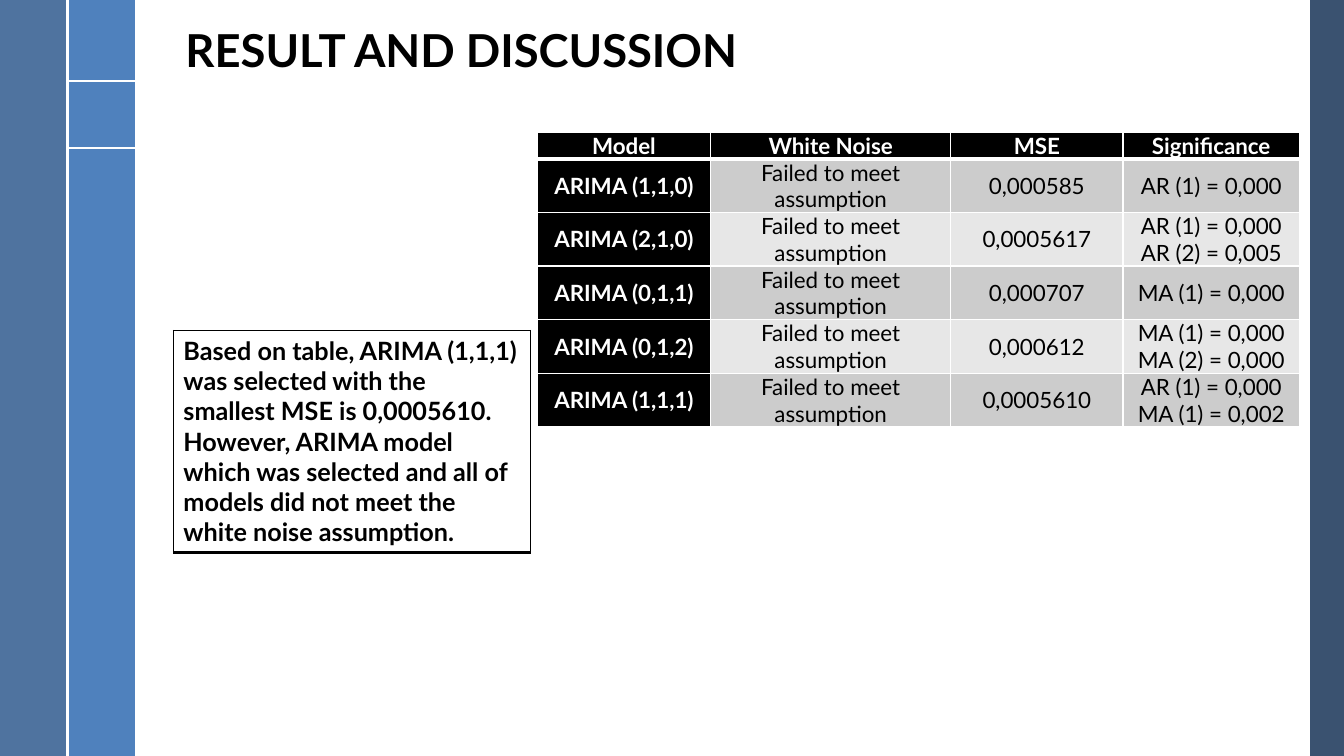
from dataclasses import dataclass

from lxml import etree
from pptx import Presentation
from pptx.dml.color import RGBColor
from pptx.enum.shapes import MSO_CONNECTOR, MSO_SHAPE
from pptx.enum.text import MSO_ANCHOR, PP_ALIGN
from pptx.oxml.ns import qn
from pptx.util import Cm, Pt

RECTANGLE = MSO_SHAPE.RECTANGLE
STRAIGHT = MSO_CONNECTOR.STRAIGHT
MIDDLE, TOP = MSO_ANCHOR.MIDDLE, MSO_ANCHOR.TOP
CENTER, LEFT = PP_ALIGN.CENTER, PP_ALIGN.LEFT

SLIDE_WIDTH, SLIDE_HEIGHT = 33.87, 19.05
BAND = 1.7  # width of each left band


@dataclass(frozen=True)
class Theme:
    font: str = "Lato"
    white: str = "FFFFFF"
    black: str = "000000"
    outer_band: str = "376092"
    inner_band: str = "4F81BD"
    right_band: str = "254061"
    odd_row: str = "CCCCCC"
    even_row: str = "E7E7E7"
    title_size: float = 32.4
    note_size: int = 18
    table_size: int = 16


THEME = Theme()

HEADINGS = ["Model", "White Noise", "MSE", "Significance"]
FAILED = "Failed to meet assumption"
MODELS = [
    ("ARIMA (1,1,0)", "0,000585", ["AR (1) = 0,000"]),
    ("ARIMA (2,1,0)", "0,0005617", ["AR (1) = 0,000", "AR (2) = 0,005"]),
    ("ARIMA (0,1,1)", "0,000707", ["MA (1) = 0,000"]),
    ("ARIMA (0,1,2)", "0,000612", ["MA (1) = 0,000", "MA (2) = 0,000"]),
    ("ARIMA (1,1,1)", "0,0005610", ["AR (1) = 0,000", "MA (1) = 0,002"]),
]
CONCLUSION = (
    "Based on table, ARIMA (1,1,1) was selected with the smallest MSE is "
    "0,0005610. However, ARIMA model which was selected and all of models "
    "did not meet the white noise assumption."
)


def add_run(paragraph, text, size, color, bold):
    run = paragraph.add_run()
    run.text = text
    run.font.name = THEME.font
    run.font.size = Pt(size)
    run.font.bold = bold
    run.font.color.rgb = RGBColor.from_string(color)


def add_band(slide, left, width, color, opacity=100):
    band = slide.shapes.add_shape(RECTANGLE, Cm(left), 0, Cm(width), Cm(SLIDE_HEIGHT))
    band.shadow.inherit = False
    band.line.fill.background()
    band.fill.solid()
    band.fill.fore_color.rgb = RGBColor.from_string(color)
    if opacity < 100:
        tint = band.fill._xPr.find(".//" + qn("a:srgbClr"))
        etree.SubElement(tint, qn("a:alpha"), val=str(opacity * 1000))


def add_rule(slide, x1, y1, x2, y2):
    rule = slide.shapes.add_connector(STRAIGHT, Cm(x1), Cm(y1), Cm(x2), Cm(y2))
    rule.line.color.rgb = RGBColor.from_string(THEME.white)
    rule.line.width = Pt(1.5)
    etree.SubElement(rule._element.spPr, qn("a:effectLst"))


def set_borders(cell, color, bottom=1):
    """Draw all four edges, 1 pt except for the bottom one."""
    properties = cell._tc.get_or_add_tcPr()
    for index, (edge, width) in enumerate(
        [("a:lnL", 1), ("a:lnR", 1), ("a:lnT", 1), ("a:lnB", bottom)]
    ):
        line = etree.Element(qn(edge), w=str(Pt(width)))
        fill = etree.SubElement(line, qn("a:solidFill"))
        etree.SubElement(fill, qn("a:srgbClr"), val=color)
        properties.insert(index, line)


def add_table(slide, left, top, columns, rows):
    table = slide.shapes.add_table(
        len(rows), len(columns), Cm(left), Cm(top), Cm(sum(columns)), Cm(sum(rows))
    ).table
    table.first_row = table.horz_banding = False
    for column, width in zip(table.columns, columns):
        column.width = Cm(width)
    for row, height in zip(table.rows, rows):
        row.height = Cm(height)
    return table


def fill_cell(cell, lines, size, color, bold, align):
    for index, line in enumerate(lines):
        frame = cell.text_frame
        paragraph = frame.add_paragraph() if index else frame.paragraphs[0]
        paragraph.alignment = align
        add_run(paragraph, line, size, color, bold)


def add_bands(slide):
    add_band(slide, 33.02, SLIDE_WIDTH - 33.02, THEME.right_band, 90)
    add_band(slide, BAND, BAND, THEME.inner_band)
    add_band(slide, 0, BAND, THEME.outer_band, 88)
    for y in (2.05, 3.74):
        add_rule(slide, BAND, y, 2 * BAND, y)
    add_rule(slide, BAND, 0, BAND, SLIDE_HEIGHT)


def add_title(slide, text):
    title = slide.shapes.title
    title.left, title.top = Cm(4.42), Cm(0.3)
    title.width, title.height = Cm(28.5), Cm(2.05)
    title.text_frame.vertical_anchor = MIDDLE
    paragraph = title.text_frame.paragraphs[0]
    paragraph.alignment = LEFT
    paragraph.line_spacing = 0.9
    add_run(paragraph, text, THEME.title_size, THEME.black, True)


def add_model_table(slide):
    table = add_table(
        slide, 13.54, 3.33, [4.37, 6.05, 4.34, 4.45], [0.66] + [1.35] * len(MODELS)
    )
    content = [[[heading] for heading in HEADINGS]]
    content += [[[model], [FAILED], [mse], tests] for model, mse, tests in MODELS]
    for r, row in enumerate(content):
        for c, lines in enumerate(row):
            cell = table.cell(r, c)
            heading = r == 0 or c == 0
            shade = THEME.odd_row if r % 2 else THEME.even_row
            cell.fill.solid()
            cell.fill.fore_color.rgb = RGBColor.from_string(
                THEME.black if heading else shade
            )
            set_borders(cell, THEME.white, bottom=1 if r else 3)
            cell.vertical_anchor = MIDDLE
            cell.margin_left = cell.margin_right = Cm(0.18)
            cell.margin_top = cell.margin_bottom = 0
            color = THEME.white if heading else THEME.black
            fill_cell(cell, lines, THEME.table_size, color, heading, CENTER)


def add_conclusion(slide):
    cell = add_table(slide, 4.37, 8.33, [9], [5.41]).cell(0, 0)
    cell.fill.background()
    set_borders(cell, THEME.black, bottom=2)
    cell.vertical_anchor = TOP
    fill_cell(cell, [CONCLUSION], THEME.note_size, THEME.black, True, LEFT)


def main():
    deck = Presentation()
    deck.slide_width, deck.slide_height = Cm(SLIDE_WIDTH), Cm(SLIDE_HEIGHT)
    slide = deck.slides.add_slide(deck.slide_layouts[5])  # title only
    add_bands(slide)
    add_model_table(slide)
    add_conclusion(slide)
    add_title(slide, "RESULT AND DISCUSSION")
    deck.save("out.pptx")


if __name__ == "__main__":
    main()
